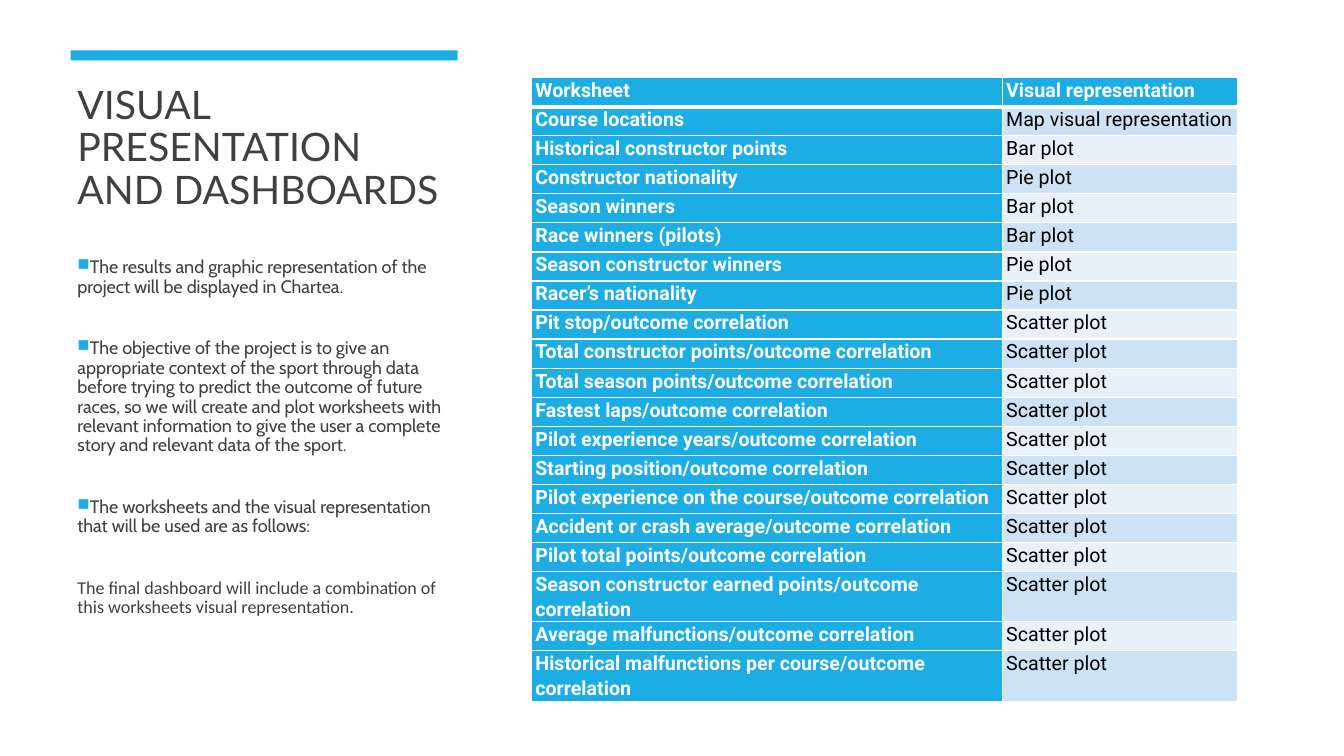
"""Build a slide that lists worksheets and their visual representation."""
from lxml.etree import SubElement as Sub
from pptx import Presentation
from pptx.dml.color import RGBColor as RGB
from pptx.enum.shapes import MSO_SHAPE as Kind
from pptx.enum.text import MSO_ANCHOR as Anchor
from pptx.oxml.ns import qn
from pptx.util import Inches, Pt

HUES = {"blue": "1CADE4", "ink": "404040", "white": "FFFFFF",
        "black": "000000", "mid": "CDE3F5", "pale": "E8F1FA"}

TITLE = "VISUAL PRESENTATION AND DASHBOARDS"
POINTS = [
    "The results and graphic representation of the project will be displayed "
    "in Chartea.",
    "The objective of the project is to give an appropriate context of the "
    "sport through data before trying to predict the outcome of future races, "
    "so we will create and plot worksheets with relevant information to give "
    "the user a complete story and relevant data of the sport.",
    "The worksheets and the visual representation that will be used are as "
    "follows:",
]
CLOSING = ("The final dashboard will include a combination of this worksheets "
           "visual representation.")

HEAD = ("Worksheet", "Visual representation")
PLOTS = [
    ("Course locations", "Map visual representation"),
    ("Historical constructor points", "Bar plot"),
    ("Constructor nationality", "Pie plot"),
    ("Season winners", "Bar plot"),
    ("Race winners (pilots)", "Bar plot"),
    ("Season constructor winners", "Pie plot"),
    ("Racer’s nationality", "Pie plot"),
]
FACTORS = [
    "Pit stop", "Total constructor points", "Total season points",
    "Fastest laps", "Pilot experience years", "Starting position",
    "Pilot experience on the course", "Accident or crash average",
    "Pilot total points", "Season constructor earned points",
    "Average malfunctions", "Historical malfunctions per course",
]
ROWS = [HEAD, *PLOTS,
        *((f"{name}/outcome correlation", "Scatter plot") for name in FACTORS)]


def hue(name):
    """Return the named colour."""
    return RGB.from_string(HUES[name])


def add_rect(slide, box, fill):
    """Add a plain filled rectangle."""
    rect = slide.shapes.add_shape(Kind.RECTANGLE, *map(Inches, box))
    rect.shadow.inherit = False
    rect.fill.solid()
    rect.fill.fore_color.rgb = hue(fill)
    rect.line.fill.background()


def add_frame(slide, box, anchor):
    """Add a wrapping text box and return its frame."""
    frame = slide.shapes.add_textbox(*map(Inches, box)).text_frame
    frame.word_wrap = True
    frame.vertical_anchor = anchor
    return frame


def add_run(para, text, font, size, ink, bold=False):
    """Add one styled run."""
    run = para.add_run()
    run.text = text
    run.font.name = font
    run.font.size = Pt(size)
    run.font.bold = bold
    run.font.color.rgb = hue(ink)


def space(para, lines, before=18, after=12):
    """Set the spacing of a paragraph."""
    para.line_spacing = lines
    para.space_before = Pt(before)
    para.space_after = Pt(after)


def add_bullet(para):
    """Give a paragraph a blue square bullet."""
    props = para._p.get_or_add_pPr()
    props.set("marL", "0")
    props.set("indent", str(-Inches(0.33)))
    tint = Sub(props, qn("a:buClr"))
    Sub(tint, qn("a:srgbClr"), val=HUES["blue"])
    Sub(props, qn("a:buSzPct"), val="92000")
    Sub(props, qn("a:buChar"), char="■")


def add_edge(cell, side, width):
    """Draw one white border of a cell."""
    edge = Sub(cell._tc.get_or_add_tcPr(), qn(f"a:ln{side}"),
               w=str(Pt(width)))
    fill = Sub(edge, qn("a:solidFill"))
    Sub(fill, qn("a:srgbClr"), val=HUES["white"])


def fill_cell(cell, text, row, col):
    """Write and style one table cell."""
    head = row == 0
    strong = head or col == 0
    thick = {(0, "B"), (1, "T")}
    for side in "LRTB":
        add_edge(cell, side, 3 if (row, side) in thick else 1)
    cell.fill.solid()
    band = "mid" if row % 2 else "pale"
    cell.fill.fore_color.rgb = hue("blue" if strong else band)
    cell.margin_left = cell.margin_right = Inches(0.04)
    cell.margin_top = cell.margin_bottom = 0
    para = cell.text_frame.paragraphs[0]
    space(para, 1.07)
    add_run(para, text, "Roboto", 14, "white" if strong else "black", strong)


def add_grid(slide, box, widths):
    """Add the worksheet table."""
    grid = slide.shapes.add_table(len(ROWS), len(HEAD),
                                  *map(Inches, box)).table
    grid.horz_banding = False
    for col, width in zip(grid.columns, widths):
        col.width = Inches(width)
    for row, texts in enumerate(ROWS):
        grid.rows[row].height = Inches(box[3] / len(ROWS))
        for col, text in enumerate(texts):
            fill_cell(grid.cell(row, col), text, row, col)


def add_body(slide, box):
    """Add the bulleted points and the closing line."""
    frame = add_frame(slide, box, Anchor.TOP)
    frame.margin_top = 0
    for num, text in enumerate([*POINTS, CLOSING]):
        para = frame.add_paragraph() if num else frame.paragraphs[0]
        space(para, 0.9)
        point = num < len(POINTS)
        if point:
            add_bullet(para)
        add_run(para, text, "Cabin" if point else "Calibri", 12.9, "ink")


def main():
    """Build and save the slide."""
    deck = Presentation()
    deck.slide_width, deck.slide_height = Inches(13.33), Inches(7.5)
    slide = deck.slides.add_slide(deck.slide_layouts[6])
    add_rect(slide, (0, 0, 13.33, 7.5), "white")
    title = add_frame(slide, (0.67, 0.77, 3.9, 1.39), Anchor.BOTTOM)
    space(title.paragraphs[0], 0.9, 0, 0)
    add_run(title.paragraphs[0], TITLE, "Lato", 28, "ink")
    add_rect(slide, (0.7, 0.5, 3.84, 0.1), "blue")
    add_body(slide, (0.67, 2.56, 3.9, 3.97))
    add_grid(slide, (5.27, 0.77, 7, 5.77), (4.67, 2.33))
    deck.save("out.pptx")


if __name__ == "__main__":
    main()
